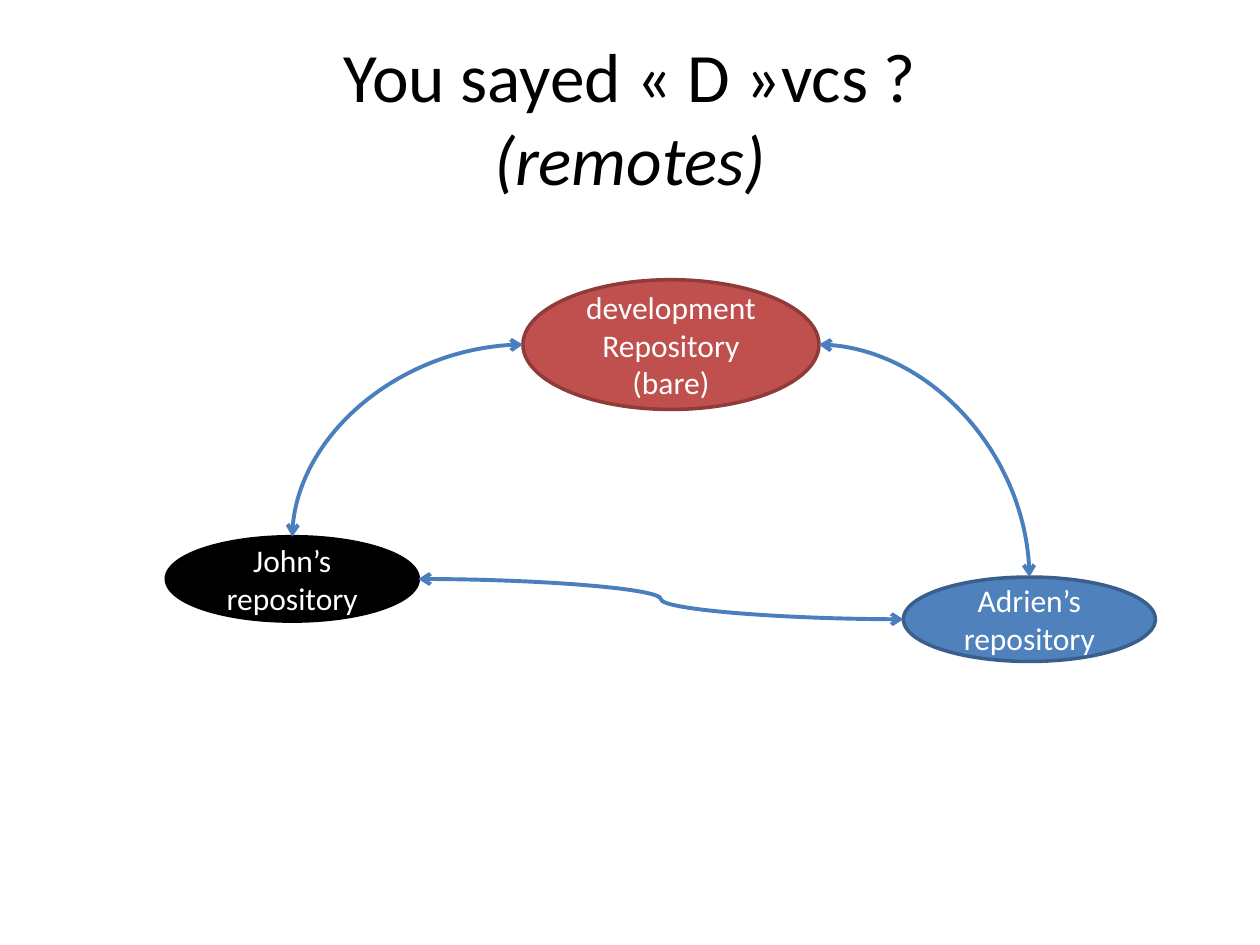
from lxml import etree
from pptx import Presentation
from pptx import util as u
from pptx.dml.color import RGBColor
from pptx.enum import shapes, text
from pptx.oxml.ns import qn

WIDTH, HEIGHT = u.Inches(10), u.Inches(7.5)
FONT = "Calibri"
WHITE = RGBColor(0xFF, 0xFF, 0xFF)
BLACK = RGBColor(0, 0, 0)
RED, DARK_RED = RGBColor(0xC0, 0x50, 0x4D), RGBColor(0x8E, 0x3B, 0x39)
BLUE, DARK_BLUE = RGBColor(0x4F, 0x81, 0xBD), RGBColor(0x3A, 0x5F, 0x8C)
LINK_BLUE = RGBColor(0x4B, 0x7E, 0xBC)
LOCAL_SIZE = (2, 0.67)


def style_paragraph(paragraph, size, color):
    paragraph.alignment = text.PP_ALIGN.CENTER
    paragraph.font.name = FONT
    paragraph.font.size = u.Pt(size)
    paragraph.font.color.rgb = color


def write_title(slide, heading, subheading):
    title = slide.shapes.title
    title.left, title.top = int(WIDTH * 0.05), int(HEIGHT * 0.04)
    title.width, title.height = int(WIDTH * 0.9), u.Inches(1.25)
    frame = title.text_frame
    frame.auto_size = text.MSO_AUTO_SIZE.NONE
    frame.vertical_anchor = text.MSO_ANCHOR.MIDDLE
    paragraph = frame.paragraphs[0]
    style_paragraph(paragraph, 39.6, BLACK)
    paragraph.add_run().text = heading
    paragraph.add_line_break()
    remark = paragraph.add_run()
    remark.text = subheading
    remark.font.italic = True


def add_repository(slide, label, position, size, fill, outline):
    repository = slide.shapes.add_shape(
        shapes.MSO_SHAPE.OVAL, *(u.Inches(n) for n in position + size))
    repository.shadow.inherit = False
    repository.fill.solid()
    repository.fill.fore_color.rgb = fill
    repository.line.color.rgb = outline
    repository.line.width = u.Pt(2)
    frame = repository.text_frame
    frame.text = label
    frame.word_wrap = True
    frame.vertical_anchor = text.MSO_ANCHOR.MIDDLE
    for paragraph in frame.paragraphs:
        style_paragraph(paragraph, 18, WHITE)
    return repository


def side(repository, across, down):
    """Point of a repository at the given shares of its width and height."""
    return (int(repository.left + repository.width * across),
            int(repository.top + repository.height * down))


def add_sync(slide, start, end, preset):
    """Curved link with an arrowhead at both ends."""
    link = slide.shapes.add_connector(shapes.MSO_CONNECTOR.CURVE, *start, *end)
    link.line.color.rgb = LINK_BLUE
    link.line.width = u.Pt(2.25)
    properties = link._element.spPr
    properties.find(qn("a:prstGeom")).set("prst", preset)
    outline = properties.find(qn("a:ln"))
    for arrowhead in ("a:headEnd", "a:tailEnd"):
        etree.SubElement(outline, qn(arrowhead), type="arrow")
    etree.SubElement(properties, qn("a:effectLst"))


def main():
    presentation = Presentation()
    presentation.slide_width, presentation.slide_height = WIDTH, HEIGHT
    slide = presentation.slides.add_slide(presentation.slide_layouts[5])
    write_title(slide, "You sayed « D »vcs ?", "(remotes)")

    shared = add_repository(slide, "development\nRepository\n(bare)",
                            (4.15, 2.22), (2.35, 1.03), RED, DARK_RED)
    john = add_repository(slide, "John’s\nrepository",
                          (1.32, 4.26), LOCAL_SIZE, BLACK, BLACK)
    adrien = add_repository(slide, "Adrien’s\nrepository",
                            (7.17, 4.58), LOCAL_SIZE, BLUE, DARK_BLUE)

    add_sync(slide, side(shared, 1, 0.5), side(adrien, 0.5, 0), "curvedConnector2")
    add_sync(slide, side(john, 1, 0.5), side(adrien, 0, 0.5), "curvedConnector3")
    add_sync(slide, side(shared, 0, 0.5), side(john, 0.5, 0), "curvedConnector2")
    presentation.save("out.pptx")


if __name__ == "__main__":
    main()
